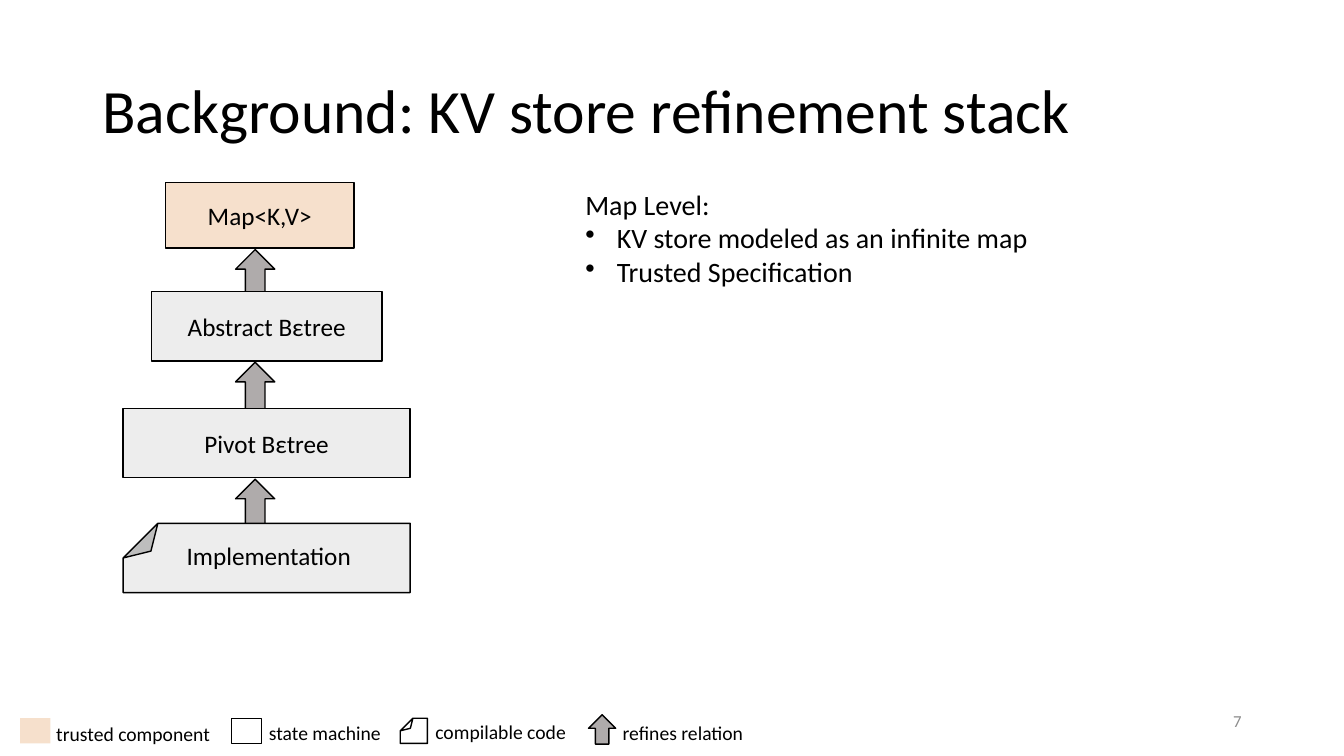
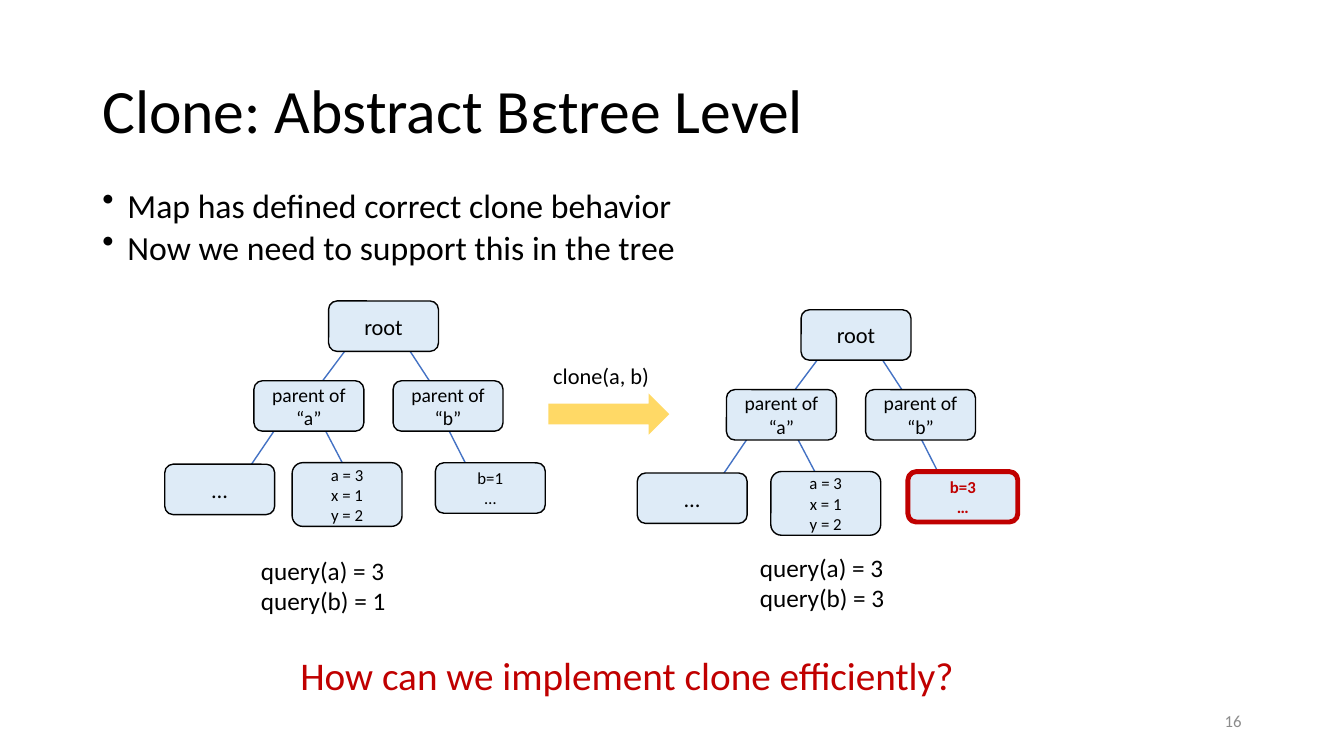
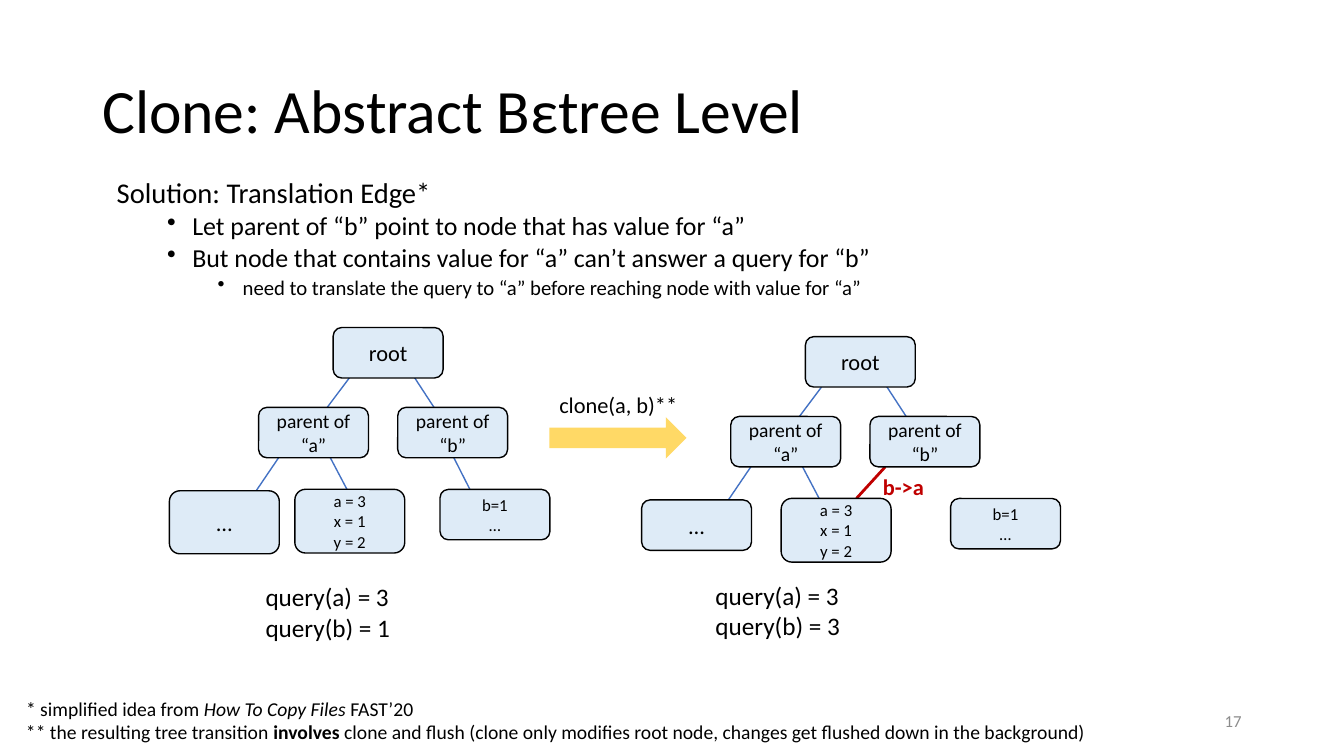
from dataclasses import dataclass

import pptx
import pptx.dml.color
import pptx.enum.shapes
import pptx.enum.text
import pptx.oxml.ns
import pptx.util
from lxml import etree

Pt = pptx.util.Pt
SHAPE = pptx.enum.shapes.MSO_SHAPE
ALIGN = pptx.enum.text.PP_ALIGN
ANCHOR = pptx.enum.text.MSO_ANCHOR
qn = pptx.oxml.ns.qn


@dataclass(frozen=True)
class Theme:
    font: str = "Calibri"
    ink: str = "000000"
    muted: str = "8C8C8C"
    accent: str = "C00000"
    edge: str = "4472C4"
    node: str = "DEEBF7"
    trusted: str = "F6E0CC"
    machine: str = "EDEDED"
    refines: str = "AFABAB"
    step: str = "FFD966"
    title: float = 44
    question: float = 28
    bullet: float = 24.1
    solution: float = 20.4
    lead: float = 20
    point: float = 18.5
    label: float = 18
    node_text: float = 16
    detail: float = 14.8
    note: float = 14
    small: float = 12


THEME = Theme()


def rgb(value):
    return pptx.dml.color.RGBColor.from_string(value)


def style_spans(para, size, color=THEME.ink, bold=False):
    for span in para.runs:
        span.font.name = THEME.font
        span.font.size = Pt(size)
        span.font.bold = bold
        span.font.color.rgb = rgb(color)


def fill_text(frame, text, size, color=THEME.ink, bold=False, align=ALIGN.LEFT):
    frame.word_wrap = True
    frame.text = text
    for para in frame.paragraphs:
        para.alignment = align
        style_spans(para, size, color, bold)


def add_text(page, box, text, size, color=THEME.ink, bold=False,
             align=ALIGN.LEFT, anchor=ANCHOR.TOP):
    frame = page.shapes.add_textbox(*map(Pt, box)).text_frame
    frame.vertical_anchor = anchor
    fill_text(frame, text, size, color, bold, align)
    return frame


def add_bullet(para, left, hang):
    props = para._p.get_or_add_pPr()
    props.set("marL", str(Pt(left)))
    props.set("indent", str(-Pt(hang)))
    etree.SubElement(props, qn("a:buChar")).set("char", "•")


def set_half_fold(block):
    """Fold the corner to half of the shorter side."""
    guides = block._element.spPr.find(qn("a:prstGeom")).get_or_add_avLst()
    guide = etree.SubElement(guides, qn("a:gd"))
    guide.set("name", "adj")
    guide.set("fmla", "val 50000")


def add_block(page, kind, box, fill=None, line=THEME.ink, width=1):
    block = page.shapes.add_shape(kind, *map(Pt, box))
    block.shadow.inherit = False
    if fill:
        block.fill.solid()
        block.fill.fore_color.rgb = rgb(fill)
    else:
        block.fill.background()
    if line:
        block.line.color.rgb = rgb(line)
        block.line.width = Pt(width)
    else:
        block.line.fill.background()
    if kind == SHAPE.FOLDED_CORNER:
        set_half_fold(block)
        block.rotation = 180
    return block


def add_labelled(page, kind, box, text, size, fill, color=THEME.ink,
                 bold=False, line=THEME.ink, width=1):
    block = add_block(page, kind, box, fill, line, width)
    block.text_frame.vertical_anchor = ANCHOR.MIDDLE
    fill_text(block.text_frame, text, size, color, bold, ALIGN.CENTER)


def add_edge(page, start, end, color=THEME.edge, width=1):
    edge = page.shapes.add_connector(
        pptx.enum.shapes.MSO_CONNECTOR.STRAIGHT, *map(Pt, start + end))
    edge.line.color.rgb = rgb(color)
    edge.line.width = Pt(width)
    etree.SubElement(edge._element.spPr, qn("a:effectLst"))


def add_page(deck, title, number):
    page = deck.slides.add_slide(deck.slide_layouts[6])
    heading = add_text(page, (66, 28.8, 828, 104.4), title, THEME.title,
                       anchor=ANCHOR.MIDDLE)
    heading.paragraphs[0].line_spacing = 0.9
    add_text(page, (678, 500.4, 216, 28.8), str(number), THEME.small,
             THEME.muted, align=ALIGN.RIGHT, anchor=ANCHOR.MIDDLE)
    return page


def draw_stack(page, left, top):
    """Levels from specification to code, each joined to the one above."""
    levels = [
        ("Map<K,V>", 30, 0, 135, 47, THEME.trusted),
        ("Abstract Bεtree", 20, 78, 165, 49.5, THEME.machine),
        ("Pivot Bεtree", 0, 161.5, 205, 49.5, THEME.machine),
    ]
    for name, x, y, width, height, fill in levels:
        box = (left + x, top + y, width, height)
        add_labelled(page, SHAPE.RECTANGLE, box, name, THEME.label, fill)
        add_block(page, SHAPE.UP_ARROW,
                  (left + 80.3, top + y + height + 1, 28, 39), THEME.refines)
    add_block(page, SHAPE.FOLDED_CORNER,
              (left, top + 243.5, 205, 49.5), THEME.machine)
    add_text(page, (left + 1.5, top + 252, 205, 29), "Implementation",
             THEME.label, align=ALIGN.CENTER)


def draw_legend(page, left, top):
    entries = [
        ("trusted component", 0, 18.7, 1.5, SHAPE.RECTANGLE,
         (0, 2.5, 21.6, 18), THEME.trusted, None),
        ("state machine", 151, 19.6, 0.7, SHAPE.RECTANGLE,
         (0, 2.5, 21.6, 18), None, THEME.ink),
        ("compilable code", 271.5, 18, 0, SHAPE.FOLDED_CORNER,
         (0, 2.5, 19.4, 18), None, THEME.ink),
        ("refines relation", 406, 17.3, 0.7, SHAPE.UP_ARROW,
         (0, 0, 19.4, 21), THEME.refines, THEME.ink),
    ]
    for name, x, gap, drop, kind, icon, fill, line in entries:
        dx, dy, width, height = icon
        add_block(page, kind, (left + x + dx, top + dy, width, height), fill, line)
        add_text(page, (left + x + gap, top + drop, 133, 24.5), name, THEME.note)


def draw_tree(page, left, top, values_x, queries, queries_at, leaf="b=1\n…",
              leaf_x=76.3, ellipsis_height=36, changed=False, translated=False):
    """Search tree placed from the top left corner of its root."""
    def shift(x, y):
        return left + x, top + y

    edges = [((11.5, 36), (-6.5, 60)), ((57, 34), (72, 57)),
             ((-39, 93), (-57, 119.5)), ((-3.6, 90), (10.8, 117.4))]
    if not translated:
        edges.append(((85.7, 92), (99.4, 119)))
    for start, end in edges:
        add_edge(page, shift(*start), shift(*end))
    if translated:
        add_edge(page, shift(57, 93), shift(36.5, 115.5), THEME.accent, 2)
        add_text(page, shift(48.3, 93.6) + (60, 27), "b->a",
                 THEME.node_text, THEME.accent, bold=True)

    nodes = [
        ("root", 0, 0, 36, THEME.node_text),
        ("parent of “a”", -53.3, 57, 36, THEME.note),
        ("parent of “b”", 46.1, 57, 36, THEME.note),
        ("…", -117, 116.6, ellipsis_height, THEME.node_text),
        ("a = 3\nx = 1\ny = 2", values_x, 115.5, 45.5, THEME.small),
    ]
    for text, x, y, height, size in nodes:
        add_labelled(page, SHAPE.ROUNDED_RECTANGLE, shift(x, y) + (78.5, height),
                     text, size, THEME.node)
    color = THEME.accent if changed else THEME.ink
    add_labelled(page, SHAPE.ROUNDED_RECTANGLE, shift(leaf_x, 115.6) + (78.5, 36),
                 leaf, THEME.small, THEME.node, color, changed, color,
                 3.5 if changed else 1)
    add_text(page, shift(*queries_at) + (113, 51), queries, THEME.label)


def draw_step(page, box, label, label_dx, label_dy):
    """Arrow from one tree to the next, with its call above."""
    add_block(page, SHAPE.RIGHT_ARROW, box, THEME.step, None)
    add_text(page, (box[0] + label_dx, box[1] + label_dy, 134, 27), label,
             THEME.node_text)


def draw_outline(page, box, rows, spacing):
    """Body text; each row is (text, size, bullet indent, space before)."""
    frame = add_text(page, box, "\n".join(row[0] for row in rows), THEME.lead)
    for index, (para, row) in enumerate(zip(frame.paragraphs, rows)):
        _, size, indent, before = row
        if indent:
            add_bullet(para, indent, 18)
        para.line_spacing = spacing
        para.space_before = Pt(before if index else 0)
        style_spans(para, size)


def draw_footnote(page, box, parts):
    """One line of (text, emphasis) parts; emphasis is bold, italic or None."""
    para = add_text(page, box, "", THEME.note).paragraphs[0]
    for text, _ in parts:
        para.add_run().text = text
    style_spans(para, THEME.note)
    for span, (_, emphasis) in zip(para.runs, parts):
        span.font.bold = emphasis == "bold"
        span.font.italic = emphasis == "italic"


def build_background(deck):
    page = add_page(deck, "Background: KV store refinement stack", 7)
    draw_stack(page, 88, 130.3)
    level = add_text(
        page, (411, 130.3, 335.5, 80),
        "Map Level:\nKV store modeled as an infinite map\nTrusted Specification",
        THEME.lead)
    for para in level.paragraphs[1:]:
        add_bullet(para, 22.5, 22.5)
    draw_legend(page, 14.4, 510.5)


def build_problem(deck):
    page = add_page(deck, "Clone: Abstract Bεtree Level", 16)
    draw_outline(page, (66, 136, 828, 62), [
        ("Map has defined correct clone behavior", THEME.bullet, 18, 10),
        ("Now we need to support this in the tree", THEME.bullet, 18, 10),
    ], 0.7)
    draw_tree(page, 234.7, 215, -26, "query(a) = 3\nquery(b) = 1", (-55.4, 178))
    draw_step(page, (391.7, 281, 86.4, 29.5), "clone(a, b)", -3.6, -26)
    draw_tree(page, 572.2, 221.3, -21.6, "query(a) = 3\nquery(b) = 3",
              (-36.5, 169.7), leaf="b=3\n…", changed=True)
    add_text(page, (207.4, 461.5, 500, 41), "How can we implement clone efficiently?",
             THEME.question, THEME.accent)


def build_solution(deck):
    page = add_page(deck, "Clone: Abstract Bεtree Level", 17)
    draw_outline(page, (76.3, 126, 828, 97), [
        ("Solution: Translation Edge*", THEME.solution, 0, 10),
        ("Let parent of “b” point to node that has value for “a”",
         THEME.point, 54, 5),
        ("But node that contains value for “a” can’t answer a query for “b”",
         THEME.point, 54, 5),
        ("need to translate the query to “a” before reaching node with value for “a”",
         THEME.detail, 90, 5),
    ], 0.8)
    draw_tree(page, 238, 234, -27.4, "query(a) = 3\nquery(b) = 1", (-55.4, 178),
              ellipsis_height=45)
    draw_step(page, (392.4, 298, 98, 29.5), "clone(a, b)**", 0, -22.3)
    draw_tree(page, 575.3, 240.5, -17.3, "query(a) = 3\nquery(b) = 3",
              (-71.3, 170.6), leaf_x=103.7, translated=True)
    draw_footnote(page, (11.5, 494.6, 754, 24.5), [
        ("* simplified idea from ", None),
        ("How To Copy Files ", "italic"),
        ("FAST’20", None),
    ])
    draw_footnote(page, (11.5, 510.5, 847, 24.5), [
        ("** the resulting tree transition ", None),
        ("involves", "bold"),
        (" clone and flush (clone only modifies root node, "
         "changes get flushed down in the background)", None),
    ])


def main():
    deck = pptx.Presentation()
    deck.slide_width = Pt(960)
    deck.slide_height = Pt(540)
    build_background(deck)
    build_problem(deck)
    build_solution(deck)
    deck.save("out.pptx")


if __name__ == "__main__":
    main()
